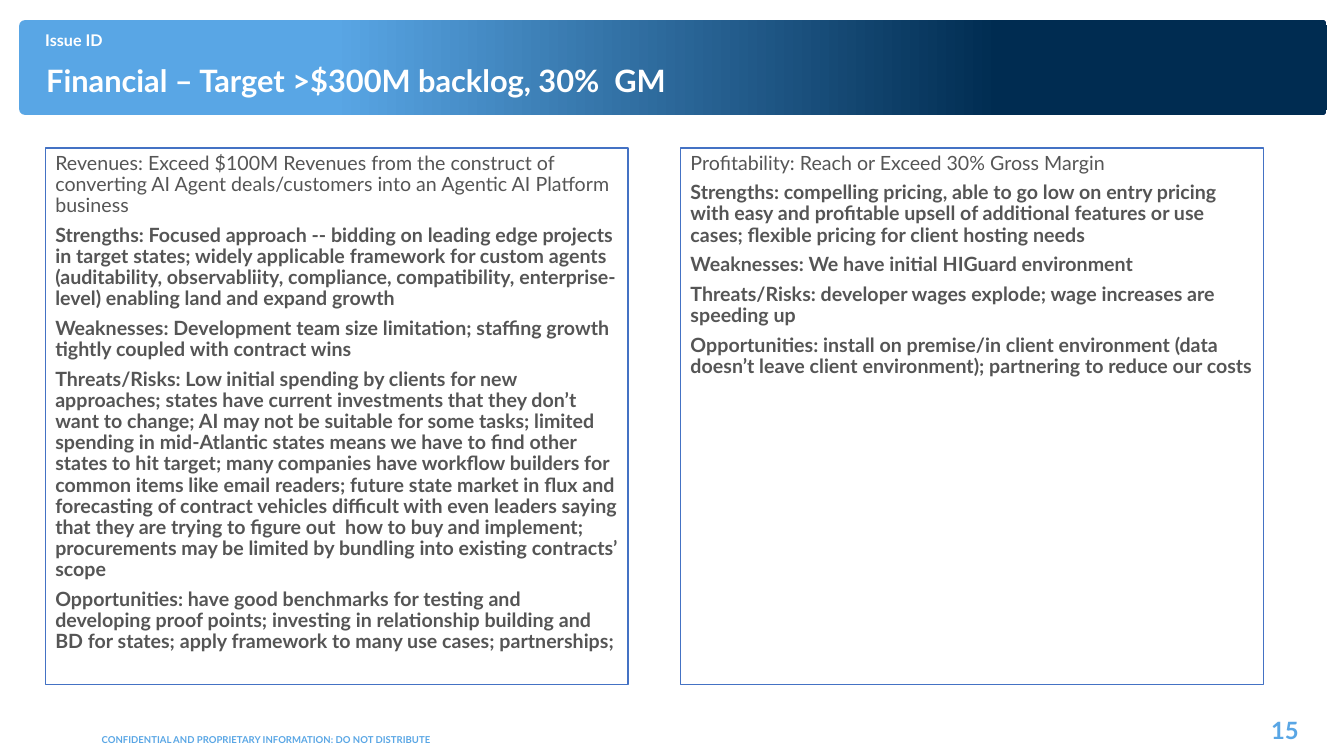
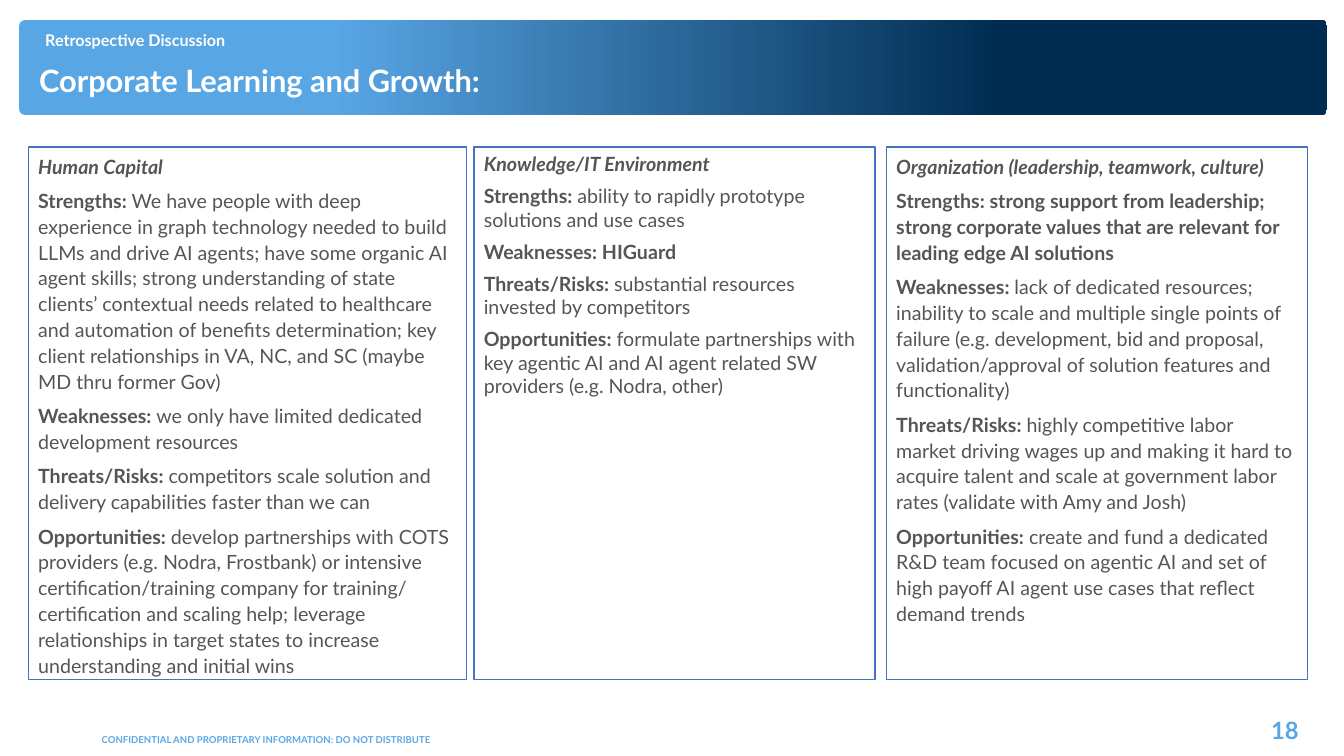
import pptx
import pptx.util
import pptx.dml.color
import pptx.enum.shapes
import pptx.enum.text

Inches = pptx.util.Inches
Pt = pptx.util.Pt
Align = pptx.enum.text.PP_ALIGN
Anchor = pptx.enum.text.MSO_ANCHOR
Shape = pptx.enum.shapes.MSO_SHAPE

COLORS = {
    "sky": "59A6E5",
    "navy": "002C51",
    "white": "FFFFFF",
    "body": "555555",
    "border": "4472C4",
}
FONT = "Lato"
NOTICE = "CONFIDENTIAL AND PROPRIETARY INFORMATION: DO NOT DISTRIBUTE"

FORMATS = {
    "title": {"size": Pt(22), "bold": True},
    "kicker": {"size": Pt(11.5), "bold": True},
    "notice": {"size": Pt(6.8), "bold": True},
    "page": {"size": Pt(17), "bold": True},
    "plain": {"size": Pt(14), "bold": False},
    "strong": {"size": Pt(14), "bold": True},
    "heading": {"size": Pt(14), "bold": True, "italic": True},
}

FINANCIAL = {
    "kicker": "Issue ID",
    "title": "Financial – Target >$300M backlog, 30%  GM",
    "title_box": (0.36, 0.51, 9.6, 0.52),
    "page": "15",
    "heading_format": "plain",
    "panels": [
        {
            "box": (0.45, 1.47, 5.78, 5.32),
            "spacing": 0.9,
            "heading": "Revenues: Exceed $100M Revenues from the construct of converting AI Agent "
                       "deals/customers into an Agentic AI Platform business",
            "points": [
                ("Strengths: Focused approach -- bidding on leading edge projects in target states; "
                 "widely applicable framework for custom agents (auditability, observabliity, "
                 "compliance, compatibility, enterprise-level) enabling land and expand growth", ""),
                ("Weaknesses: Development team size limitation; staffing growth tightly coupled "
                 "with contract wins", ""),
                ("Threats/Risks: Low initial spending by clients for new approaches; states have "
                 "current investments that they don’t want to change; AI may not be suitable for "
                 "some tasks; limited spending in mid-Atlantic states means we have to find other "
                 "states to hit target; many companies have workflow builders for common items like "
                 "email readers; future state market in flux and forecasting of contract vehicles "
                 "difficult with even leaders saying that they are trying to figure out  how to buy "
                 "and implement; procurements may be limited by bundling into existing contracts’ "
                 "scope", ""),
                ("Opportunities: have good benchmarks for testing and developing proof points; "
                 "investing in relationship building and BD for states; apply framework to many use "
                 "cases; partnerships;", ""),
            ],
        },
        {
            "box": (6.75, 1.47, 5.78, 5.32),
            "spacing": 0.9,
            "heading": "Profitability: Reach or Exceed 30% Gross Margin",
            "points": [
                ("Strengths: compelling pricing, able to go low on entry pricing with easy and "
                 "profitable upsell of additional features or use cases; flexible pricing for client "
                 "hosting needs", ""),
                ("Weaknesses: We have initial HIGuard environment", ""),
                ("Threats/Risks: developer wages explode; wage increases are speeding up", ""),
                ("Opportunities: install on premise/in client environment (data doesn’t leave client "
                 "environment); partnering to reduce our costs", ""),
            ],
        },
    ],
}

LEARNING = {
    "kicker": "Retrospective Discussion",
    "title": "Corporate Learning and Growth:",
    "title_box": (0.29, 0.51, 7.41, 0.52),
    "page": "18",
    "heading_format": "heading",
    "panels": [
        {
            "box": (0.28, 1.46, 4.35, 5.28),
            "spacing": 1.1,
            "heading": "Human Capital",
            "points": [
                ("Strengths: ",
                 "We have people with deep experience in graph technology needed to build LLMs and "
                 "drive AI agents; have some organic AI agent skills; strong understanding of state "
                 "clients’ contextual needs related to healthcare and automation of benefits "
                 "determination; key client relationships in VA, NC, and SC (maybe MD thru former "
                 "Gov)"),
                ("Weaknesses: ", "we only have limited dedicated development resources"),
                ("Threats/Risks: ",
                 "competitors scale solution and delivery capabilities faster than we can"),
                ("Opportunities: ",
                 "develop partnerships with COTS providers (e.g. Nodra, Frostbank) or intensive "
                 "certification/training company for training/ certification and scaling help; "
                 "leverage relationships in target states to increase understanding and initial "
                 "wins"),
            ],
        },
        {
            "box": (4.7, 1.46, 3.98, 5.28),
            "spacing": 1.0,
            "heading": "Knowledge/IT Environment",
            "points": [
                ("Strengths: ", "ability to rapidly prototype solutions and use cases"),
                ("Weaknesses: HIGuard", ""),
                ("Threats/Risks: ", "substantial resources invested by competitors"),
                ("Opportunities: ",
                 "formulate partnerships with key agentic AI and AI agent related SW providers "
                 "(e.g. Nodra, other)"),
            ],
        },
        {
            "box": (8.79, 1.46, 4.18, 5.28),
            "spacing": 1.1,
            "heading": "Organization (leadership, teamwork, culture)",
            "points": [
                ("Strengths: strong support from leadership; strong corporate values that are "
                 "relevant for leading edge AI solutions", ""),
                ("Weaknesses: ",
                 "lack of dedicated resources; inability to scale and multiple single points of "
                 "failure (e.g. development, bid and proposal, validation/approval of solution "
                 "features and functionality)"),
                ("Threats/Risks: ",
                 "highly competitive labor market driving wages up and making it hard to acquire "
                 "talent and scale at government labor rates (validate with Amy and Josh)"),
                ("Opportunities: ",
                 "create and fund a dedicated R&D team focused on agentic AI and set of high payoff "
                 "AI agent use cases that reflect demand trends"),
            ],
        },
    ],
}


def rgb(color):
    return pptx.dml.color.RGBColor.from_string(COLORS[color])


def place(box):
    return [Inches(length) for length in box]


def apply(target, values):
    for name, value in values.items():
        setattr(target, name, value)


def add_run(paragraph, text, style, color):
    run = paragraph.add_run()
    run.text = text
    apply(run.font, {"name": FONT, **FORMATS[style]})
    run.font.color.rgb = rgb(color)


def add_label(slide, box, text, style, color, anchor=Anchor.TOP, **paragraph_format):
    frame = slide.shapes.add_textbox(*place(box)).text_frame
    apply(frame, {"word_wrap": True, "vertical_anchor": anchor})
    paragraph = frame.paragraphs[0]
    apply(paragraph, paragraph_format)
    add_run(paragraph, text, style, color)


def add_band(slide):
    band = slide.shapes.add_shape(Shape.ROUNDED_RECTANGLE, *place((0.19, 0.2, 12.97, 0.94)))
    band.adjustments[0] = 0.06
    band.shadow.inherit = False
    band.line.fill.background()
    band.fill.gradient()
    band.fill.gradient_angle = 0
    for stop, (position, color) in zip(band.fill.gradient_stops, [(0.24, "sky"), (0.75, "navy")]):
        stop.position = position
        stop.color.rgb = rgb(color)


def add_panel(slide, panel, heading_format):
    card = slide.shapes.add_shape(Shape.RECTANGLE, *place(panel["box"]))
    card.shadow.inherit = False
    card.fill.solid()
    card.fill.fore_color.rgb = rgb("white")
    card.line.color.rgb = rgb("border")
    card.line.width = Pt(1)
    frame = card.text_frame
    apply(frame, {"word_wrap": True, "vertical_anchor": Anchor.TOP})
    rows = [[(panel["heading"], heading_format)]]
    rows += [[(lead, "strong"), (detail, "plain")] for lead, detail in panel["points"]]
    for index, row in enumerate(rows):
        paragraph = frame.add_paragraph() if index else frame.paragraphs[0]
        apply(paragraph, {"alignment": Align.LEFT, "line_spacing": panel["spacing"],
                          "space_after": Pt(6)})
        for text, style in row:
            if text:
                add_run(paragraph, text, style, "body")


def add_content_slide(deck, content):
    slide = deck.slides.add_slide(deck.slide_layouts[6])
    add_label(slide, (11.87, 7.05, 1.11, 0.39), content["page"], "page", "sky",
              Anchor.MIDDLE, alignment=Align.RIGHT)
    add_band(slide)
    add_label(slide, (0.91, 7.23, 3.48, 0.22), NOTICE, "notice", "sky")
    add_label(slide, content["title_box"], content["title"], "title", "white",
              Anchor.BOTTOM, line_spacing=0.9)
    add_label(slide, (0.35, 0.29, 7.35, 0.27), content["kicker"], "kicker", "white",
              line_spacing=0.8)
    for panel in content["panels"]:
        add_panel(slide, panel, content["heading_format"])


def main():
    deck = pptx.Presentation()
    apply(deck, {"slide_width": Inches(13.33), "slide_height": Inches(7.5)})
    for content in (FINANCIAL, LEARNING):
        add_content_slide(deck, content)
    deck.save("out.pptx")


if __name__ == "__main__":
    main()
